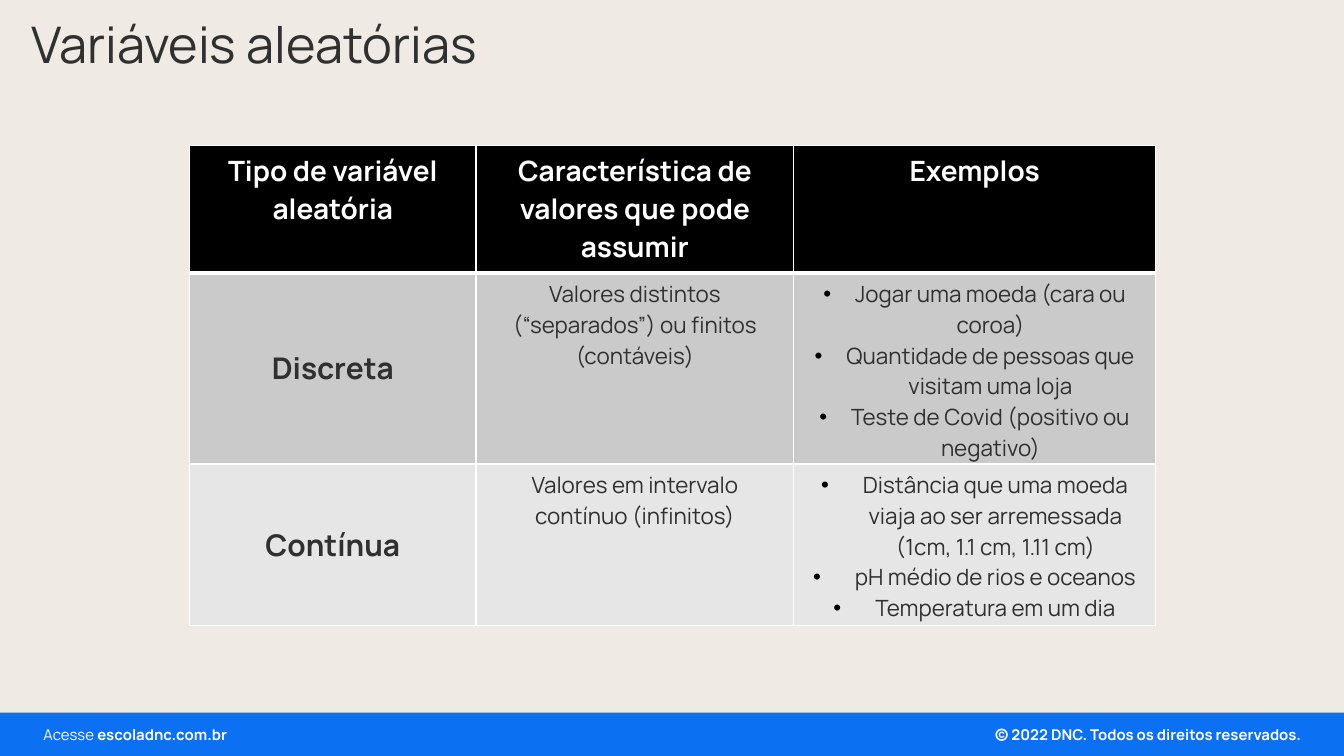
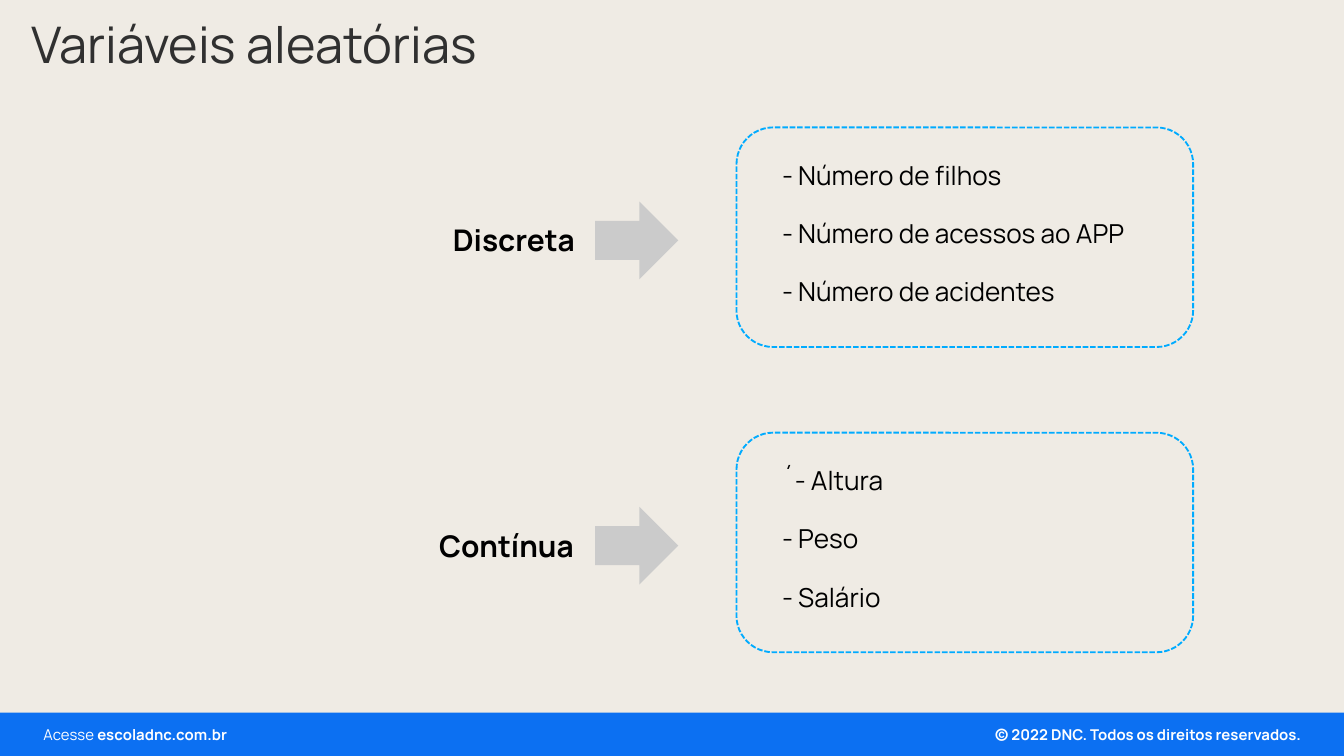
from lxml import etree
from pptx import Presentation
from pptx import util as u
from pptx.dml.color import RGBColor
from pptx.enum import dml, shapes, text
from pptx.oxml import ns

Cm, Pt = u.Cm, u.Pt

# Palette and type
FONT = "Manrope"
SAND = RGBColor(0xEF, 0xEB, 0xE4)
BLUE = RGBColor(0x0C, 0x70, 0xF2)
SKY = RGBColor(0x00, 0xAB, 0xFF)
INK = RGBColor(0x30, 0x30, 0x30)
BLACK = RGBColor(0, 0, 0)
WHITE = RGBColor(0xFF, 0xFF, 0xFF)
ARROW_GRAY = RGBColor(0xCB, 0xCB, 0xCB)
DARK_ROW = RGBColor(0xCA, 0xCA, 0xCA)
LIGHT_ROW = RGBColor(0xE6, 0xE6, 0xE6)

TITLE = "Variáveis aleatórias"
SLIDE_W, SLIDE_H = 25.4, 14.29
BAND_TOP = 13.47
LEFT, CENTER, RIGHT = text.PP_ALIGN.LEFT, text.PP_ALIGN.CENTER, text.PP_ALIGN.RIGHT

# Table content: label, characteristic, examples; then fill and bullet indent
HEADINGS = ["Tipo de variável aleatória", "Característica de valores que pode assumir", "Exemplos"]
VARIABLE_ROWS = [
    ("Discreta", "Valores distintos (“separados”) ou finitos (contáveis)",
     ["Jogar uma moeda (cara ou coroa)", "Quantidade de pessoas que visitam uma loja",
      "Teste de Covid (positivo ou negativo)"], DARK_ROW, 0.6),
    ("Contínua", "Valores em intervalo contínuo (infinitos)",
     ["Distância que uma moeda viaja ao ser arremessada (1cm, 1.1 cm, 1.11 cm)",
      "pH médio de rios e oceanos", "Temperatura em um dia"], LIGHT_ROW, 0.79),
]
COLUMN_WIDTHS = [5.42, 6, 6.84]
ROW_HEIGHTS = [2.41, 3.61, 3.05]

# Example groups: label, its left and width, items
GROUPS = [
    ("Discreta", 8.31, 2.92,
     ["- Número de filhos", "- Número de acessos ao APP", "- Número de acidentes"]),
    ("Contínua", 8.05, 3.45, ["´- Altura", "- Peso", "- Salário"]),
]
GROUP_TOP, GROUP_STEP = 2.41, 5.77


def style_runs(paragraph, size, color, bold=False):
    for run in paragraph.runs:
        run.font.name, run.font.size, run.font.bold = FONT, Pt(size), bold
        run.font.color.rgb = color


def write_lines(frame, lines, size, color, bold=False, align=LEFT, gap=0):
    frame.text = "\n".join(lines)
    for index, paragraph in enumerate(frame.paragraphs):
        paragraph.alignment = align
        if index and gap:
            paragraph.space_before = Pt(gap)
        style_runs(paragraph, size, color, bold)


def add_text(slide, box, lines, size, color, inset=(0.25, 0.13), **style):
    frame = slide.shapes.add_textbox(*map(Cm, box)).text_frame
    frame.word_wrap = True
    frame.auto_size = text.MSO_AUTO_SIZE.SHAPE_TO_FIT_TEXT
    frame.margin_left = frame.margin_right = Cm(inset[0])
    frame.margin_top = frame.margin_bottom = Cm(inset[1])
    write_lines(frame, lines, size, color, **style)
    return frame


def add_block(slide, preset, box, fill=None):
    block = slide.shapes.add_shape(preset, *map(Cm, box))
    block.shadow.inherit = False
    block.line.fill.background()
    if fill is None:
        block.fill.background()
    else:
        block.fill.solid()
        block.fill.fore_color.rgb = fill
    return block


def add_base_slide(prs):
    """Slide with the shared title and footer band."""
    slide = prs.slides.add_slide(prs.slide_layouts[6])
    tight = (0.18, 0.1)
    add_block(slide, shapes.MSO_SHAPE.RECTANGLE,
              (0, BAND_TOP, SLIDE_W, SLIDE_H - BAND_TOP), BLUE)
    add_text(slide, (18, 13.61, 6.78, 0.54), ["© 2022 DNC. Todos os direitos reservados."],
             8, WHITE, tight, bold=True, align=RIGHT)
    site = add_text(slide, (0.64, 13.61, 6.25, 0.54), ["Acesse "], 8, WHITE, tight)
    paragraph = site.paragraphs[0]
    paragraph.add_run().text = "escoladnc.com.br"
    style_runs(paragraph, 8, WHITE)
    paragraph.runs[1].font.bold = True
    add_text(slide, (0.41, 0.15, 21.97, 1.35), [TITLE], 27, INK, tight)
    return slide


def add_color(parent, tag, color):
    holder = etree.SubElement(parent, ns.qn(tag))
    etree.SubElement(holder, ns.qn("a:srgbClr"), val=str(color))


def add_bullet(paragraph, indent):
    properties = paragraph._p.get_or_add_pPr()
    properties.set("marL", str(Cm(indent)))
    properties.set("indent", str(-Cm(indent)))
    add_color(properties, "a:buClr", BLACK)
    etree.SubElement(properties, ns.qn("a:buFont"), typeface="Arial")
    etree.SubElement(properties, ns.qn("a:buChar"), char="•")


def format_cell(cell, fill, top, bottom):
    properties = cell._tc.get_or_add_tcPr()
    for side, width in (("L", 1), ("R", 1), ("T", top), ("B", bottom)):
        edge = etree.SubElement(properties, ns.qn("a:ln" + side), w=str(Pt(width)))
        add_color(edge, "a:solidFill", WHITE)
    cell.fill.solid()
    cell.fill.fore_color.rgb = fill
    cell.margin_left = cell.margin_right = Cm(0.23)
    cell.margin_top = cell.margin_bottom = Cm(0.11)


def add_variable_table(slide):
    table = slide.shapes.add_table(
        len(ROW_HEIGHTS), len(COLUMN_WIDTHS), Cm(3.58), Cm(2.75),
        Cm(sum(COLUMN_WIDTHS)), Cm(sum(ROW_HEIGHTS))).table
    table.first_row = table.horz_banding = False
    for column, width in zip(table.columns, COLUMN_WIDTHS):
        column.width = Cm(width)
    for row, height in zip(table.rows, ROW_HEIGHTS):
        row.height = Cm(height)

    # Header row
    for cell, heading in zip(table.rows[0].cells, HEADINGS):
        format_cell(cell, BLACK, 1, 3)
        write_lines(cell.text_frame, [heading], 15, WHITE, bold=True, align=CENTER)

    # One row per type of variable
    for index, (label, trait, examples, fill, indent) in enumerate(VARIABLE_ROWS, 1):
        label_cell, trait_cell, example_cell = cells = list(table.rows[index].cells)
        for cell in cells:
            format_cell(cell, fill, 3 if index == 1 else 1, 1)
        label_cell.vertical_anchor = text.MSO_ANCHOR.MIDDLE
        write_lines(label_cell.text_frame, [label], 16, INK, bold=True, align=CENTER)
        write_lines(trait_cell.text_frame, [trait], 12, INK, align=CENTER)
        write_lines(example_cell.text_frame, examples, 12, INK, align=CENTER)
        for paragraph in example_cell.text_frame.paragraphs:
            add_bullet(paragraph, indent)


def add_example_group(slide, top, label, label_left, label_width, items):
    add_text(slide, (label_left, top + 1.66, label_width, 0.94), [label], 16, BLACK, bold=True)
    add_block(slide, shapes.MSO_SHAPE.RIGHT_ARROW, (11.25, top + 1.4, 1.57, 1.47), ARROW_GRAY)
    outline = add_block(slide, shapes.MSO_SHAPE.ROUNDED_RECTANGLE, (13.92, top, 8.63, 4.15))
    outline.line.color.rgb = SKY
    outline.line.width = Pt(1)
    outline.line.dash_style = dml.MSO_LINE.SQUARE_DOT
    add_text(slide, (14.53, top + 0.47, 7.39, 3.25), items, 14, BLACK, gap=14.4)


def main():
    prs = Presentation()
    prs.slide_width, prs.slide_height = Cm(SLIDE_W), Cm(SLIDE_H)
    backdrop = prs.slide_master.background.fill
    backdrop.solid()
    backdrop.fore_color.rgb = SAND

    # Slide 1: comparison table
    add_variable_table(add_base_slide(prs))

    # Slide 2: examples of each type
    examples_slide = add_base_slide(prs)
    for index, group in enumerate(GROUPS):
        add_example_group(examples_slide, GROUP_TOP + index * GROUP_STEP, *group)

    prs.save("out.pptx")


if __name__ == "__main__":
    main()
